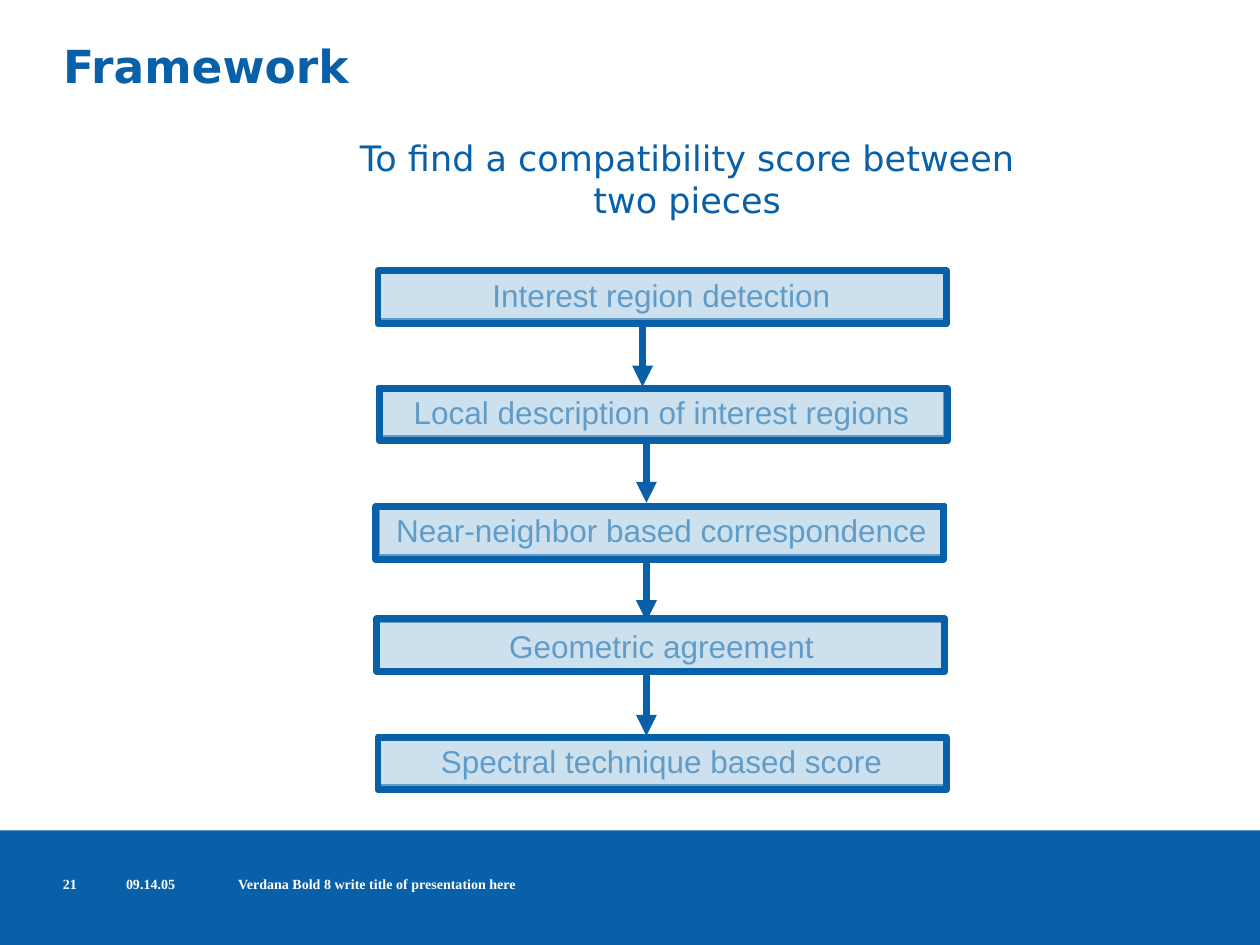
from pptx import Presentation
from pptx.dml.color import RGBColor
from pptx.enum import shapes, text
from pptx.oxml.ns import qn
from pptx.util import Pt
from lxml import etree
from dataclasses import dataclass


@dataclass(frozen=True)
class Theme:
    blue: RGBColor = RGBColor.from_string("0860A8")
    pale: RGBColor = RGBColor.from_string("A6CAE1")
    white: RGBColor = RGBColor.from_string("FFFFFF")
    pale_alpha: int = 57000
    heading_font: str = "DejaVu Sans"
    step_font: str = "Arial"
    footer_font: str = "Times New Roman"
    title_size: int = 26
    subtitle_size: int = 20
    step_size: int = 18
    footer_size: int = 8
    thin: int = 2
    thick: int = 4


TH = Theme()
TITLE = "Framework"
SUBTITLE = "To find a compatibility score between two pieces"

# Step name, label top, panel left, panel top
STEPS = [
    ("Interest region detection", 154.1, 216, 154.8),
    ("Local description of interest regions", 221, 216.7, 221.8),
    ("Near-neighbor based correspondence", 288.7, 214.6, 289.4),
    ("Geometric agreement", 355, 215.3, 353.5),
    ("Spectral technique based score", 420.5, 216, 421.2),
]
ARROWS = [(367.2, 185), (369.4, 251.3), (369.4, 319), (369.4, 384.5)]
ARROW_LENGTH = 36
LABEL_LEFT, LABEL_WIDTH, LABEL_HEIGHT = 216, 324, 28.8
PANEL_WIDTH, PANEL_HEIGHT = 324.7, 30.2
FOOTER = [
    ("21", 36, 33),
    ("09.14.05", 72, 59),
    ("Verdana Bold 8 write title of presentation here", 136, 306),
]
FOOTER_TOP, FOOTER_HEIGHT = 500.4, 23.8


def write(sp, words, font, size, color, bold=False, centred=False, inset=(0, 0)):
    tf = sp.text_frame
    tf.word_wrap = True
    tf.vertical_anchor = text.MSO_ANCHOR.TOP
    tf.margin_left = tf.margin_right = Pt(inset[0])
    tf.margin_top = tf.margin_bottom = Pt(inset[1])
    p = tf.paragraphs[0]
    p.alignment = text.PP_ALIGN.CENTER if centred else text.PP_ALIGN.LEFT
    r = p.add_run()
    r.text = words
    r.font.name, r.font.size, r.font.bold = font, Pt(size), bold
    r.font.color.rgb = color


def add_text(s, box, *args, **kwargs):
    write(s.shapes.add_textbox(*map(Pt, box)), *args, **kwargs)


def add_rect(s, box, fill=None, line_width=None, alpha=None):
    sp = s.shapes.add_shape(shapes.MSO_SHAPE.RECTANGLE, *map(Pt, box))
    sp.shadow.inherit = False
    if fill is None:
        sp.fill.background()
    else:
        sp.fill.solid()
        sp.fill.fore_color.rgb = fill
    if alpha is not None:
        clr = sp._element.spPr.find(qn("a:solidFill")).find(qn("a:srgbClr"))
        etree.SubElement(clr, qn("a:alpha"), val=str(alpha))
    if line_width is None:
        sp.line.fill.background()
    else:
        sp.line.color.rgb = TH.blue
        sp.line.width = Pt(line_width)
    return sp


def add_arrow(s, x, top):
    c = s.shapes.add_connector(
        shapes.MSO_CONNECTOR.STRAIGHT, Pt(x), Pt(top), Pt(x), Pt(top + ARROW_LENGTH)
    )
    c.line.color.rgb = TH.blue
    c.line.width = Pt(TH.thick)
    etree.SubElement(c.line._get_or_add_ln(), qn("a:tailEnd"), type="triangle")
    etree.SubElement(c._element.spPr, qn("a:effectLst"))


def main():
    prs = Presentation()
    prs.slide_width, prs.slide_height = Pt(720), Pt(540)
    s = prs.slides.add_slide(prs.slide_layouts[6])

    add_rect(s, (0, 474.5, 720, 65.5), TH.blue)
    add_text(s, (36, 21.6, 648.7, 69.8), TITLE, TH.heading_font,
             TH.title_size, TH.blue, bold=True)

    for name, label_top, _, _ in STEPS:
        label = add_rect(s, (LABEL_LEFT, label_top, LABEL_WIDTH, LABEL_HEIGHT),
                         line_width=TH.thin)
        write(label, name, TH.step_font, TH.step_size, TH.blue,
              centred=True, inset=(7.2, 3.6))
    for x, top in ARROWS:
        add_arrow(s, x, top)

    add_text(s, (198, 74.2, 389.5, 55.4), SUBTITLE, TH.heading_font,
             TH.subtitle_size, TH.blue, centred=True, inset=(7.2, 3.6))

    for _, _, left, top in STEPS:
        add_rect(s, (left, top, PANEL_WIDTH, PANEL_HEIGHT), TH.pale,
                 TH.thick, TH.pale_alpha)
    for words, left, width in FOOTER:
        add_text(s, (left, FOOTER_TOP, width, FOOTER_HEIGHT), words,
                 TH.footer_font, TH.footer_size, TH.white, bold=True)

    prs.save("out.pptx")


if __name__ == "__main__":
    main()
